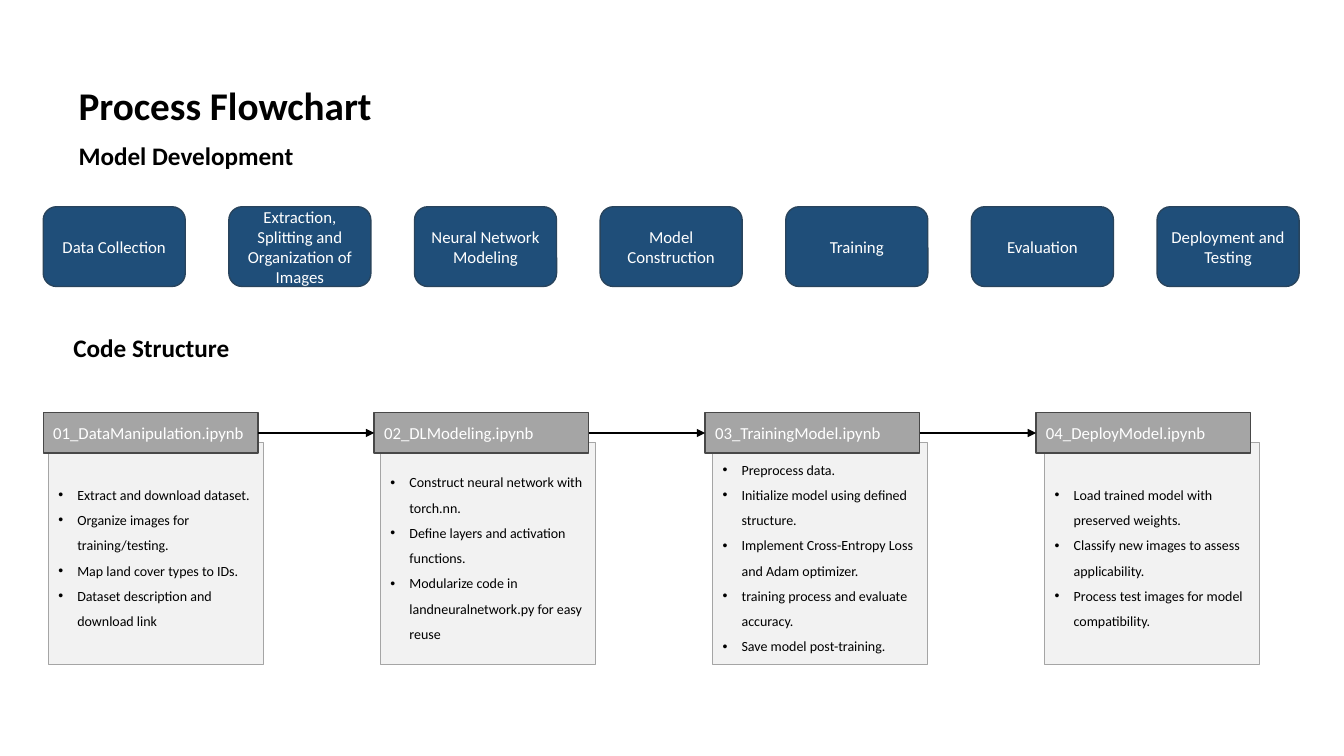
from lxml import etree
from pptx import Presentation
from pptx.dml.color import RGBColor
from pptx.enum.shapes import MSO_CONNECTOR, MSO_SHAPE
from pptx.enum.text import MSO_ANCHOR as ANCHOR, MSO_AUTO_SIZE as AUTO_SIZE, PP_ALIGN as ALIGN
from pptx.oxml.ns import qn
from pptx.util import Cm, Pt

STAGES = [
    "Data Collection",
    "Extraction, Splitting and Organization of Images",
    "Neural Network Modeling",
    "Model Construction",
    "Training",
    "Evaluation",
    "Deployment and Testing",
]
NOTEBOOKS = [
    ("01_DataManipulation.ipynb", [
        "Extract and download dataset.",
        "Organize images for training/testing.",
        "Map land cover types to IDs.",
        "Dataset description and download link",
    ]),
    ("02_DLModeling.ipynb", [
        "Construct neural network with torch.nn.",
        "Define layers and activation functions.",
        "Modularize code in landneuralnetwork.py for easy reuse",
    ]),
    ("03_TrainingModel.ipynb", [
        "Preprocess data.",
        "Initialize model using defined structure.",
        "Implement Cross-Entropy Loss and Adam optimizer.",
        "training process and evaluate accuracy.",
        "Save model post-training.",
    ]),
    ("04_DeployModel.ipynb", [
        "Load trained model with preserved weights.",
        "Classify new images to assess applicability.",
        "Process test images for model compatibility.",
    ]),
]


def color(value):
    return RGBColor.from_string(value)


def add_run(p, text, size, hue, bold=False):
    r = p.add_run()
    r.text = text
    r.font.name = "Calibri"
    r.font.size = Pt(size)
    r.font.bold = bold
    r.font.color.rgb = color(hue)


def add_heading(s, left, top, width, height, text, size):
    tf = s.shapes.add_textbox(Cm(left), Cm(top), Cm(width), Cm(height)).text_frame
    tf.word_wrap = True
    tf.auto_size = AUTO_SIZE.SHAPE_TO_FIT_TEXT
    add_run(tf.paragraphs[0], text, size, "000000", True)


def add_box(s, kind, left, top, width, height, fill, line, weight):
    sp = s.shapes.add_shape(kind, Cm(left), Cm(top), Cm(width), Cm(height))
    sp.shadow.inherit = False
    sp.fill.solid()
    sp.fill.fore_color.rgb = color(fill)
    sp.line.color.rgb = color(line)
    sp.line.width = Pt(weight)
    tf = sp.text_frame
    tf.word_wrap = True
    tf.vertical_anchor = ANCHOR.MIDDLE
    return tf


def add_bullet(p, text):
    pPr = p._p.get_or_add_pPr()
    pPr.set("marL", str(Cm(0.48)))
    pPr.set("indent", str(-Cm(0.48)))
    etree.SubElement(pPr, qn("a:buFont")).set("typeface", "Arial")
    etree.SubElement(pPr, qn("a:buChar")).set("char", "•")
    p.alignment = ALIGN.LEFT
    p.line_spacing = 1.5
    add_run(p, text, 10, "000000")


def add_arrow(s, start, end, y):
    line = s.shapes.add_connector(MSO_CONNECTOR.STRAIGHT, Cm(start), Cm(y), Cm(end), Cm(y))
    line.line.color.rgb = color("000000")
    line.line.width = Pt(1.5)
    etree.SubElement(line.line._get_or_add_ln(), qn("a:tailEnd")).set("type", "triangle")
    etree.SubElement(line._element.spPr, qn("a:effectLst"))


def add_stages(s, left, top, width, height):
    box_width = 3.58
    step = (width - box_width) / (len(STAGES) - 1)
    for i, stage in enumerate(STAGES):
        tf = add_box(s, MSO_SHAPE.ROUNDED_RECTANGLE, left + i * step, top, box_width, height,
                     "1F4E79", "28445D", 1)
        p = tf.paragraphs[0]
        p.alignment = ALIGN.CENTER
        add_run(p, stage, 12, "FFFFFF")


def add_notebooks(s, left, top, width, height):
    box_width, bar_height, notes_drop = 5.41, 1.02, 0.76
    bar_step = (width - box_width) / (len(NOTEBOOKS) - 1)
    notes_step = bar_step + 0.03
    for i, (name, notes) in enumerate(NOTEBOOKS):
        tf = add_box(s, MSO_SHAPE.RECTANGLE, left + 0.13 + i * notes_step, top + notes_drop,
                     box_width, height - notes_drop, "F2F2F2", "A5A5A5", 0.5)
        for j, note in enumerate(notes):
            add_bullet(tf.add_paragraph() if j else tf.paragraphs[0], note)
        x = left + i * bar_step
        p = add_box(s, MSO_SHAPE.RECTANGLE, x, top, box_width, bar_height,
                    "A5A5A5", "484848", 1).paragraphs[0]
        p.alignment = ALIGN.LEFT
        add_run(p, name, 12, "FFFFFF")
        if i:
            add_arrow(s, x - bar_step + box_width, x, top + bar_height / 2)


def main():
    prs = Presentation()
    prs.slide_width, prs.slide_height = Cm(33.87), Cm(19.05)
    s = prs.slides.add_slide(prs.slide_layouts[6])
    add_heading(s, 1.73, 1.93, 8.76, 1.45, "Process Flowchart", 28)
    add_heading(s, 1.73, 3.4, 8.76, 1.02, "Model Development", 18)
    add_heading(s, 1.6, 8.26, 8.76, 1.02, "Code Structure", 18)
    add_stages(s, 1.09, 5.21, 31.65, 2.01)
    add_notebooks(s, 1.09, 10.4, 30.43, 6.35)
    prs.save("out.pptx")


if __name__ == "__main__":
    main()
